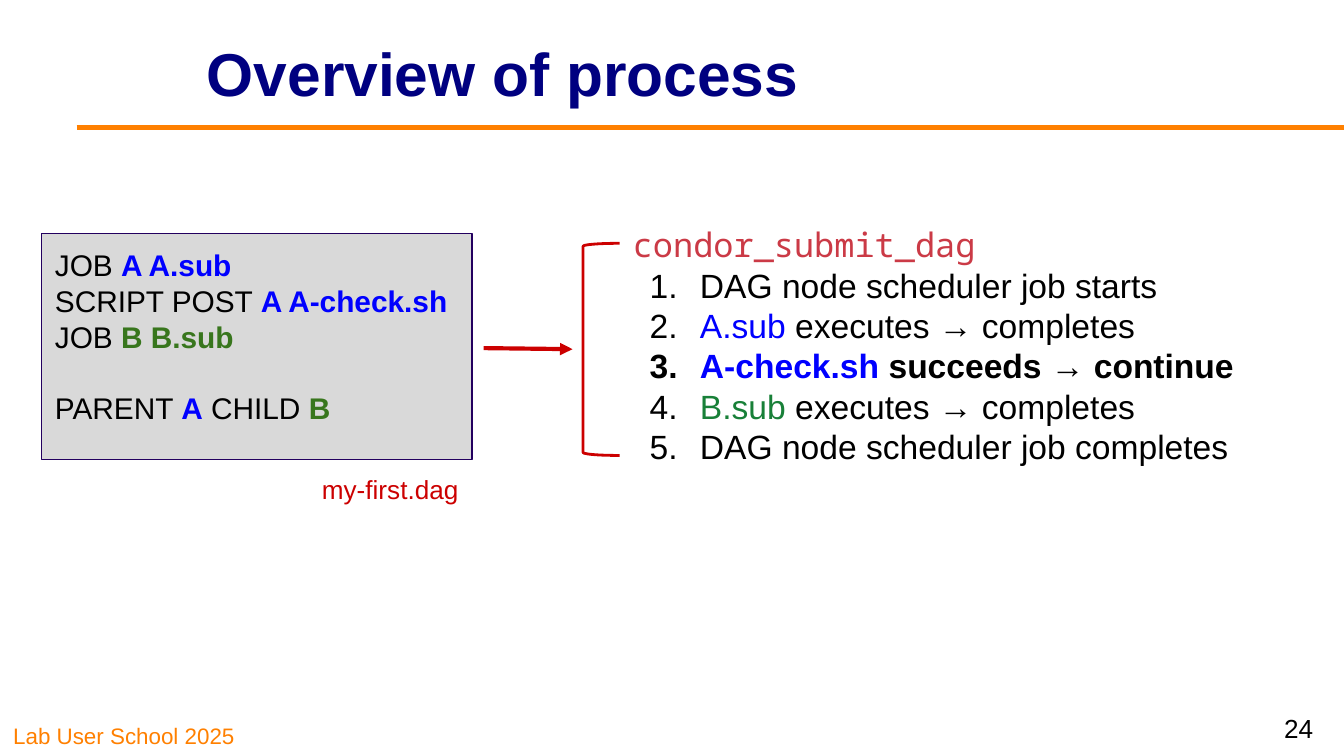
from lxml import etree
from pptx import Presentation
from pptx import util as u
from pptx.dml.color import RGBColor
from pptx.enum import shapes, text
from pptx.oxml.ns import qn

INK = {
    "black": "000000", "navy": "000080", "orange": "FF8000",
    "blue": "0000FF", "olive": "38761D", "green": "188038",
    "red": "CC0000", "rose": "CB3A46", "gray": "D9D9D9", "edge": "23005F",
}
PAD = (0.25, 0.25)
TOP, MID, LOW = text.MSO_ANCHOR.TOP, text.MSO_ANCHOR.MIDDLE, text.MSO_ANCHOR.BOTTOM
RIGHT = text.PP_ALIGN.RIGHT

SCRIPT = [
    [("JOB ", "black", False), ("A A.sub", "blue", True)],
    [("SCRIPT POST ", "black", False), ("A A-check.sh", "blue", True)],
    [("JOB ", "black", False), ("B B.sub", "olive", True)],
    [("PARENT ", "black", False), ("A", "blue", True),
     (" CHILD ", "black", False), ("B", "olive", True)],
]
STEPS = [
    [("DAG node scheduler job starts", "black", False)],
    [("A.sub", "blue", False), (" executes → completes", "black", False)],
    [("A-check.sh", "blue", True), (" succeeds → continue", "black", True)],
    [("B.sub", "green", False), (" executes → completes", "black", False)],
    [("DAG node scheduler job completes", "black", False)],
]


def rgb(name):
    return RGBColor.from_string(INK[name])


def place(*box):
    return [u.Cm(n) for n in box]


def set_frame(shape, pad=PAD, anchor=TOP):
    frame = shape.text_frame
    frame.word_wrap = True
    frame.vertical_anchor = anchor
    frame.margin_left = frame.margin_right = u.Cm(pad[0])
    frame.margin_top = frame.margin_bottom = u.Cm(pad[1])
    return frame


def write(para, runs, size, face="Arial", align=text.PP_ALIGN.LEFT):
    para.alignment = align
    para.font.size = u.Pt(size)
    para.font.name = face
    for words, ink, bold in runs:
        run = para.add_run()
        run.text = words
        run.font.color.rgb = rgb(ink)
        run.font.bold = bold


def add_label(slide, box, runs, size, pad=PAD, anchor=TOP, **style):
    frame = set_frame(slide.shapes.add_textbox(*place(*box)), pad, anchor)
    write(frame.paragraphs[0], runs, size, **style)
    return frame


def add_shape(slide, kind, box, line, width, fill=None):
    shape = slide.shapes.add_shape(kind, *place(*box))
    shape.shadow.inherit = False
    if fill:
        shape.fill.solid()
        shape.fill.fore_color.rgb = rgb(fill)
    else:
        shape.fill.background()
    shape.line.color.rgb = rgb(line)
    shape.line.width = u.Pt(width)
    return shape


def add_line(slide, ends, ink, width, arrow=False):
    line = slide.shapes.add_connector(shapes.MSO_CONNECTOR.STRAIGHT, *place(*ends))
    line.line.color.rgb = rgb(ink)
    line.line.width = u.Pt(width)
    if arrow:
        etree.SubElement(line.line._get_or_add_ln(), qn("a:tailEnd"), type="triangle")
    etree.SubElement(line._element.spPr, qn("a:effectLst"))


def number(para):
    props = para._p.get_or_add_pPr()
    props.set("marL", str(u.Cm(1.27)))
    props.set("indent", str(-u.Cm(0.95)))
    hue = etree.SubElement(props, qn("a:buClr"))
    etree.SubElement(hue, qn("a:srgbClr"), val=INK["black"])
    etree.SubElement(props, qn("a:buAutoNum"), type="arabicPeriod")


def add_code(slide):
    box = add_shape(slide, shapes.MSO_SHAPE.RECTANGLE,
                    (0.79, 4.42, 8.13, 4.27), "edge", 0.75, "gray")
    frame = set_frame(box)
    for i, runs in enumerate(SCRIPT):
        para = frame.add_paragraph() if i else frame.paragraphs[0]
        write(para, runs, 16)
    para.space_before = u.Pt(19)
    add_label(slide, (0.79, 8.69, 8.13, 1.12),
              [("my-first.dag", "red", False)], 14, align=RIGHT)


def add_steps(slide):
    frame = add_label(slide, (11.71, 3.99, 13.46, 5.13),
                      [("condor_submit_dag", "rose", False)], 18,
                      face="Noto Sans Mono")
    for runs in STEPS:
        para = frame.add_paragraph()
        number(para)
        write(para, runs, 18)
    brace = add_shape(slide, shapes.MSO_SHAPE.LEFT_BRACKET,
                      (11.02, 4.6, 0.69, 4.01), "red", 1.5)
    brace.adjustments[0] = 0.08


def main():
    deck = Presentation()
    deck.slide_width, deck.slide_height = place(25.4, 14.29)
    slide = deck.slides.add_slide(deck.slide_layouts[6])
    add_label(slide, (0, 13.49, 6.3, 0.79),
              [("Lab User School 2025", "orange", False)], 12, (0.25, 0.13), LOW)
    add_line(slide, (1.45, 2.41, 25.4, 2.41), "orange", 3)
    add_label(slide, (3.73, 0.56, 20.8, 1.6),
              [("Overview of process", "navy", True)], 32.4, (0.18, 0.1), MID)
    add_code(slide)
    add_steps(slide)
    add_line(slide, (9.14, 6.58, 10.82, 6.6), "red", 2.25, arrow=True)
    add_label(slide, (23.55, 13.21, 1.52, 1.09),
              [("24", "black", False)], 14, anchor=MID, align=RIGHT)
    deck.save("out.pptx")


if __name__ == "__main__":
    main()
